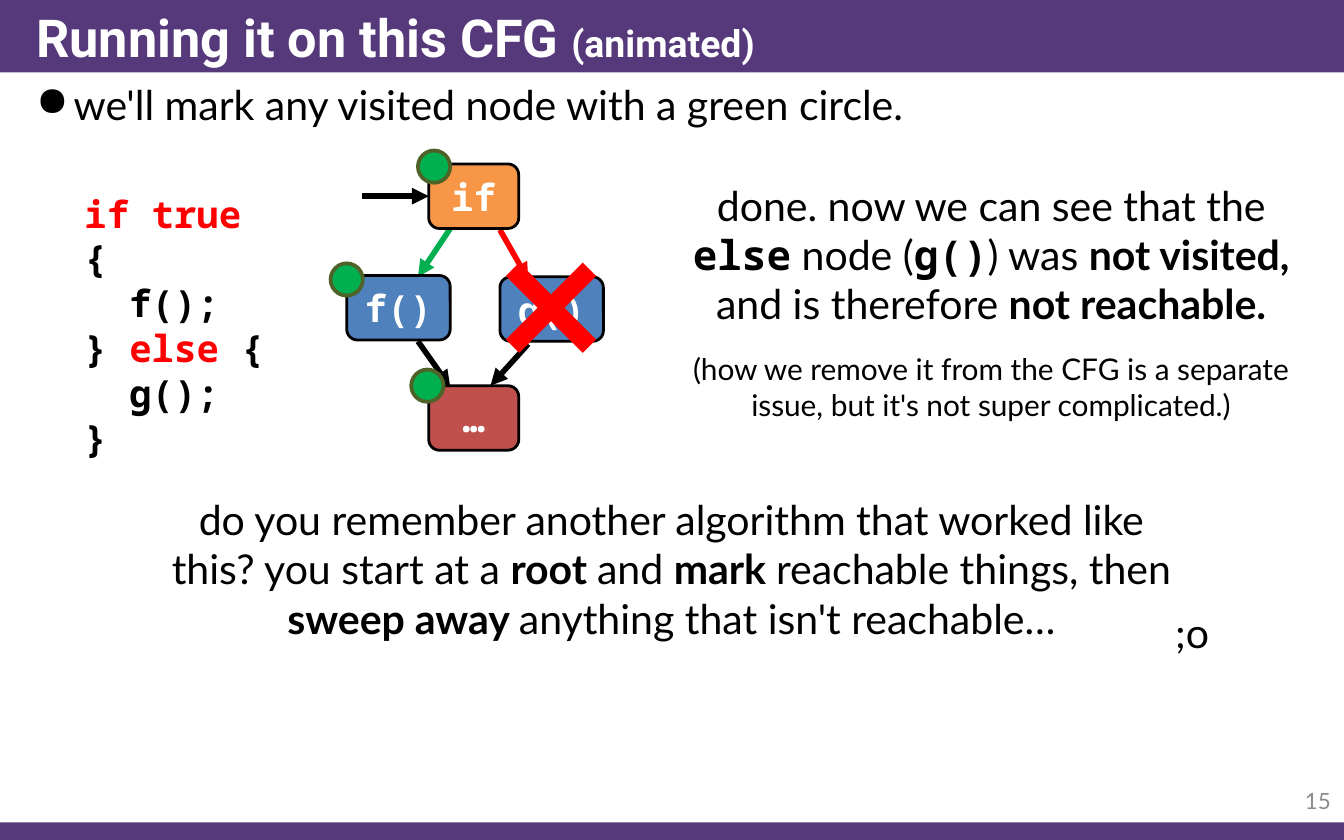
"""Build the slide that runs a reachability check on a control flow graph."""
from dataclasses import dataclass

from lxml.etree import SubElement
from pptx import Presentation
from pptx.dml.color import RGBColor
from pptx.enum.shapes import MSO_CONNECTOR, MSO_SHAPE
from pptx.enum.text import MSO_ANCHOR, MSO_AUTO_SIZE, PP_ALIGN
from pptx.oxml.ns import qn
from pptx.util import Inches, Pt

COLORS = {
    "purple": "56397B", "white": "FFFFFF", "black": "000000", "gray": "8C8C8C",
    "red": "FF0000", "green": "00B050", "olive": "4F6228",
    "orange": "F79646", "blue": "4F81BD", "brick": "C0504D",
}
MONO = "Noto Sans Mono"


@dataclass
class Span:
    text: str
    bold: bool = False
    font: str = "Lato"
    color: str = "black"
    size: float | None = None


@dataclass
class Node:
    label: str
    left: float
    top: float
    width: float
    color: str


@dataclass
class Edge:
    start: tuple[float, float]
    end: tuple[float, float]
    color: str = "black"


def rgb(name: str) -> RGBColor:
    return RGBColor.from_string(COLORS[name])


def code(text: str, color: str = "black") -> Span:
    return Span(text, bold=True, font=MONO, color=color)


def bold(text: str) -> Span:
    return Span(text, bold=True)


def write(shape, *paragraphs: list[Span], size: float = 22, align=PP_ALIGN.CENTER,
          anchor=MSO_ANCHOR.TOP) -> None:
    frame = shape.text_frame
    frame.word_wrap = True
    frame.auto_size = MSO_AUTO_SIZE.NONE
    frame.vertical_anchor = anchor
    for index, spans in enumerate(paragraphs):
        para = frame.add_paragraph() if index else frame.paragraphs[0]
        para.alignment = align
        for span in spans:
            for number, line in enumerate(span.text.split("\n")):
                if number:
                    para.add_line_break()
                run = para.add_run()
                run.text = line
                run.font.name = span.font
                run.font.size = Pt(span.size or size)
                run.font.bold = span.bold
                run.font.color.rgb = rgb(span.color)


def add_text(page, bounds: tuple, *paragraphs: list[Span], **text_format):
    box = page.shapes.add_textbox(*map(Inches, bounds))
    write(box, *paragraphs, **text_format)
    return box


def add_figure(page, kind, bounds: tuple, fill: str, line: str | None = None,
               line_width: float = 1.5):
    shape = page.shapes.add_shape(kind, *map(Inches, bounds))
    shape.shadow.inherit = False
    shape.fill.solid()
    shape.fill.fore_color.rgb = rgb(fill)
    if line:
        shape.line.color.rgb = rgb(line)
        shape.line.width = Pt(line_width)
    else:
        shape.line.fill.background()
    return shape


def add_node(page, node: Node) -> None:
    shape = add_figure(page, MSO_SHAPE.ROUNDED_RECTANGLE,
                       (node.left, node.top, node.width, 0.48), node.color, "black")
    write(shape, [code(node.label, "white")], size=20, anchor=MSO_ANCHOR.MIDDLE)


def add_edge(page, edge: Edge) -> None:
    connector = page.shapes.add_connector(
        MSO_CONNECTOR.STRAIGHT, *map(Inches, edge.start + edge.end))
    connector.line.color.rgb = rgb(edge.color)
    connector.line.width = Pt(3)
    SubElement(connector.line._get_or_add_ln(), qn("a:tailEnd"), type="triangle")
    SubElement(connector.element.spPr, qn("a:effectLst"))


def add_bullet(para, indent: float) -> None:
    properties = para._p.get_or_add_pPr()
    properties.set("marL", str(Inches(indent)))
    properties.set("indent", str(-Inches(indent)))
    SubElement(properties, qn("a:buChar"), char="●")


def add_header(page) -> None:
    title = page.shapes.title
    for top, height in ((6.12, 0.13), (0, 0.54)):
        bar = add_figure(page, MSO_SHAPE.RECTANGLE, (0, top, 10, height), "purple")
        title.element.addprevious(bar.element)
    title.left, title.top, title.width, title.height = map(Inches, (0.17, 0, 9.83, 0.54))
    write(title, [Span("Running it on this CFG ", True, "Roboto", "white"),
                  Span("(animated)", True, "Roboto", "white", 20)],
          size=28, align=PP_ALIGN.LEFT, anchor=MSO_ANCHOR.MIDDLE)


def add_graph(page) -> None:
    edges = [
        Edge((3.72, 1.71), (3.93, 2.08), "red"),
        Edge((3.35, 1.7), (3.11, 2.06), "green"),
        Edge((3.93, 2.56), (3.65, 2.87)),
        Edge((3.11, 2.54), (3.35, 2.88)),
        Edge((2.69, 1.46), (3.19, 1.46)),
    ]
    nodes = [
        Node("if", 3.19, 1.22, 0.67, "orange"),
        Node("…", 3.19, 2.87, 0.67, "brick"),
        Node("f()", 2.58, 2.05, 0.77, "blue"),
        Node("g()", 3.72, 2.06, 0.77, "blue"),
    ]
    for edge in edges:
        add_edge(page, edge)
    for node in nodes:
        add_node(page, node)
    for left, top in ((3.11, 1.12), (2.46, 1.96), (3.06, 2.75)):
        add_figure(page, MSO_SHAPE.OVAL, (left, top, 0.24, 0.24), "green", "olive", 2)
    cross = add_figure(page, MSO_SHAPE.MATH_MULTIPLY, (3.55, 1.74, 1.1, 1.1), "red")
    cross.adjustments[0] = 0.128


def add_notes_on_result(page) -> None:
    add_text(page, (5, 1.29, 4.75, 1.21), [
        Span("done. now we can see that the "), code("else"), Span(" node ("),
        code("g()"), Span(") was "), bold("not visited, "),
        Span("and is therefore "), bold("not reachable.")])
    add_text(page, (5, 2.56, 4.75, 0.64), [
        Span("(how we remove it from the CFG is a separate issue, "
             "but it's not super complicated.)")], size=16)
    add_text(page, (1.12, 3.63, 7.75, 1.21), [
        Span("do you remember another algorithm that worked like this? you start at a "),
        bold("root "), Span("and "), bold("mark "), Span("reachable things, then "),
        bold("sweep away "), Span("anything that isn't reachable…")])
    add_text(page, (8.57, 4.47, 0.6, 0.47), [Span(";o")])


def main() -> None:
    deck = Presentation()
    deck.slide_width, deck.slide_height = Inches(10), Inches(6.25)
    page = deck.slides.add_slide(deck.slide_layouts[5])
    add_header(page)
    intro = add_text(page, (0.17, 0.54, 9.83, 0.65),
                     [Span("we'll mark any visited node with a green circle.")],
                     align=PP_ALIGN.LEFT)
    add_bullet(intro.text_frame.paragraphs[0], 0.28)
    add_text(page, (9.25, 5.79, 0.75, 0.33), [Span("15", color="gray")],
             size=12, align=PP_ALIGN.RIGHT, anchor=MSO_ANCHOR.MIDDLE)
    add_text(page, (0.53, 1.37, 1.67, 1.78),
             [code("if true ", "red"), code("{")],
             [code("  f();")],
             [code("} "), code("else", "red"), code(" {\n  g();\n}")],
             size=20, align=PP_ALIGN.LEFT)
    add_graph(page)
    add_notes_on_result(page)
    deck.save("out.pptx")


if __name__ == "__main__":
    main()
